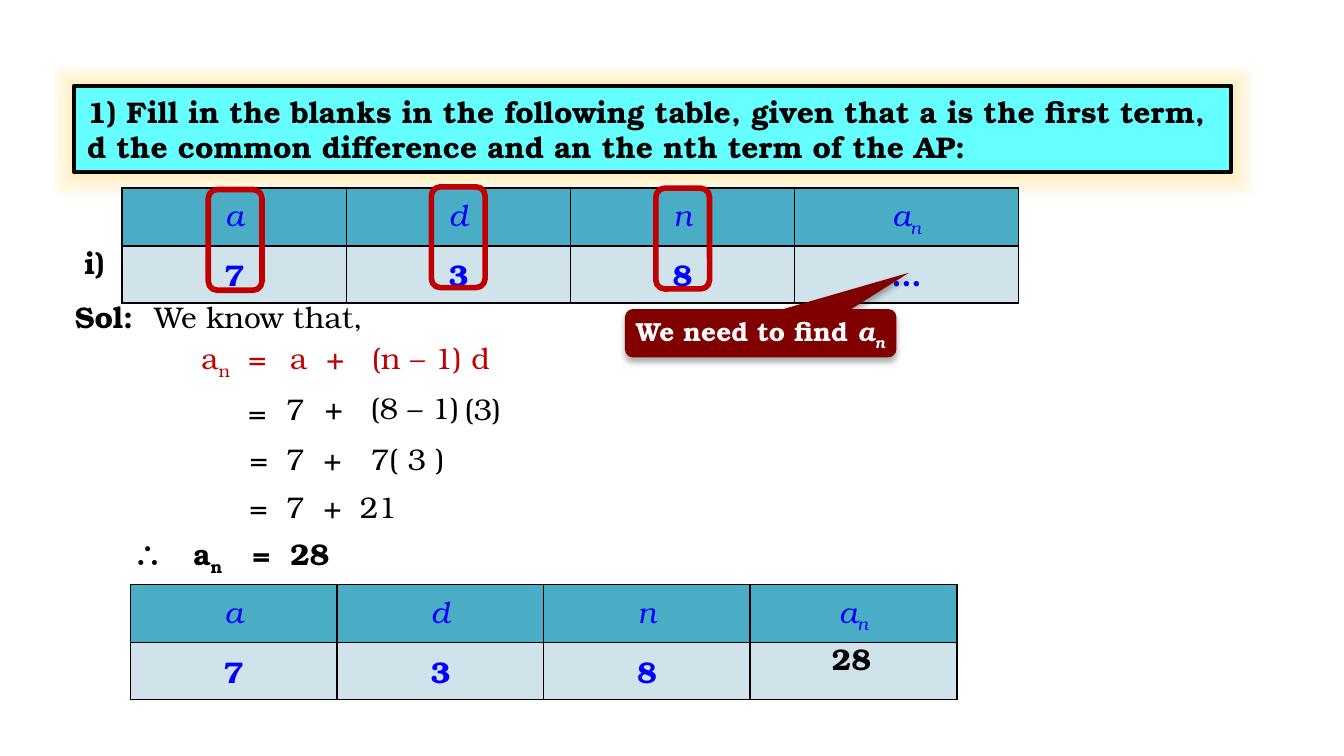
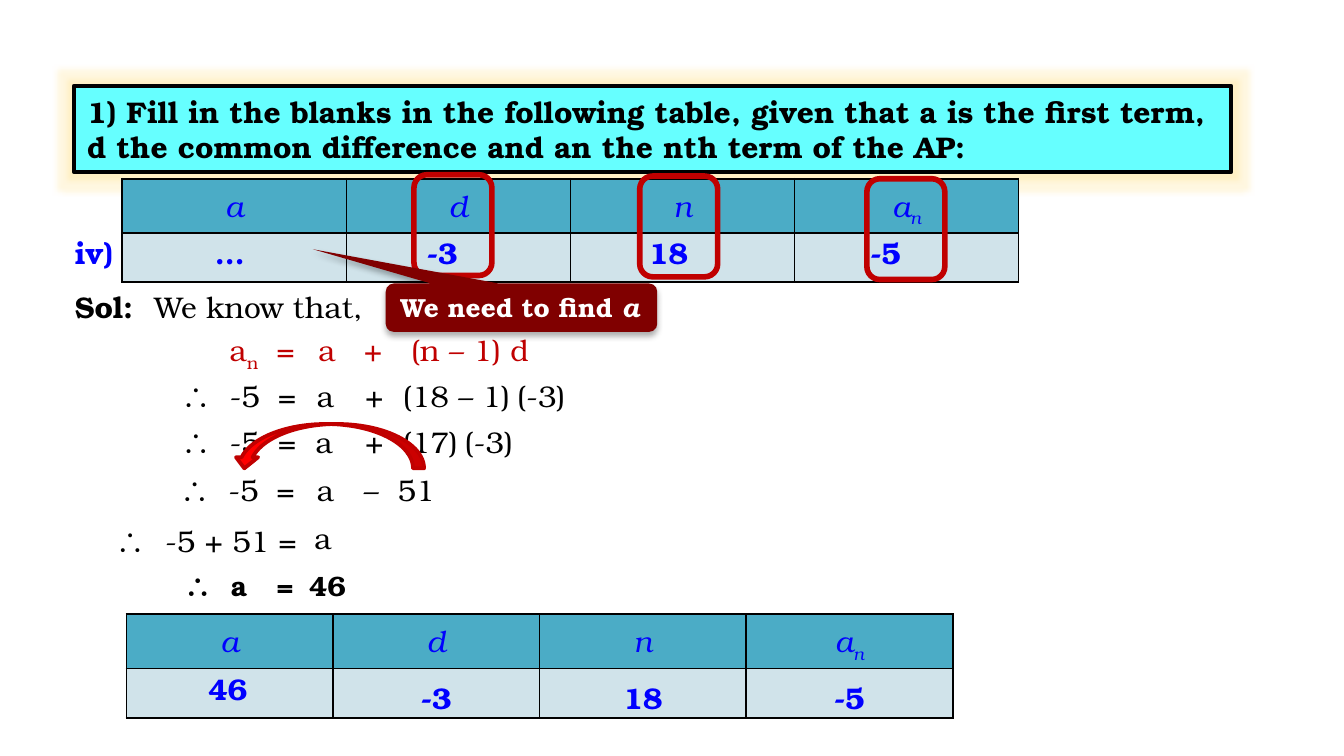
from lxml.etree import SubElement
from pptx import Presentation
from pptx.dml.color import RGBColor
from pptx.enum.shapes import MSO_SHAPE
from pptx.enum.text import MSO_ANCHOR, PP_ALIGN
from pptx.oxml import parse_xml
from pptx.oxml.ns import nsdecls, qn
from pptx.util import Pt

PX = 9144  # 100 px to the inch
FONT = "TeX Gyre Bonum"
BLACK, WHITE, BLUE, RED = "000000", "FFFFFF", "0000FF", "C00000"
MAROON, CYAN, BRIGHT_RED = "800000", "66FFFF", "FF0000"
HEADER_FILL, BODY_FILL = "4BACC6", "D0E3EA"
QUESTION = [
    "1) Fill in the blanks in the following table, given that a is the first term,",
    "d the common difference and an the nth term of the AP:",
]
HEADINGS = ["a", "d", "n", "a_n"]
ROW_HEIGHTS = [30, 26]
GLOW = '<a:effectLst %s><a:glow rad="76200"><a:srgbClr val="FFC000"><a:alpha val="12000"/></a:srgbClr></a:glow></a:effectLst>'
SHADOW = '<a:effectLst %s><a:outerShdw blurRad="44450" dist="27940" dir="5400000" algn="ctr" rotWithShape="0"><a:srgbClr val="000000"><a:alpha val="32000"/></a:srgbClr></a:outerShdw></a:effectLst>'


def write(paragraph, text, color=BLACK, size=16, **format_values):
    """Append text to the paragraph; the letter after an underscore is a subscript."""
    base, _, tail = text.partition("_")
    for piece, subscript in ((base, False), (tail[:1], True), (tail[1:], False)):
        if not piece:
            continue
        run = paragraph.add_run()
        run.text = piece
        run.font.color.rgb = RGBColor.from_string(color)
        for name, value in {"name": FONT, "size": Pt(size), **format_values}.items():
            setattr(run.font, name, value)
        if subscript:
            run.font._element.set("baseline", "-25000")


def add_text(slide, left, top, width, text, tabs=(), height=37, wrap=True, **format_values):
    """Add a one-line text box; tab stops are px from the start of its text."""
    box = slide.shapes.add_textbox(left * PX, top * PX, width * PX, height * PX)
    box.text_frame.word_wrap = wrap
    paragraph = box.text_frame.paragraphs[0]
    if tabs:
        tab_list = SubElement(paragraph._p.get_or_add_pPr(), qn("a:tabLst"))
        for stop in tabs:
            SubElement(tab_list, qn("a:tab"), pos=str(stop * PX), algn="l")
    write(paragraph, text, **format_values)
    return box


BOLD = {"bold": True}
BLUE_BOLD = {"color": BLUE, "bold": True}
FORMULA = {"color": RED}
RESULT = {"size": 15, "bold": True, "height": 35}

# Tables: left, top, width, values.
# Lines: left, top, width, text, tab stops, format.
# Callout: left, top, adjustments, unknown, label left, label top, label width.
slides = [
    {
        "tables": [
            (91, 140, 667, ["7", "3", "8", "…"]),
            (97, 435, 615, ["7", "3", "8", ""]),
        ],
        "solution top": 217,
        "lines": [
            (53, 177, 42, "i)", (), BOLD),
            (140, 248, 104, "a_n\t=", (35,), FORMULA),
            (206, 248, 183, "a\t+\t(n – 1) d", (27, 61), FORMULA),
            (175, 288, 41, "=", (), {}),
            (203, 286, 40, "7", (), {}),
            (232, 285, 130, "+\t(8 – 1)", (34,), {}),
            (336, 286, 53, "(3)", (), {}),
            (176, 323, 41, "=", (), {}),
            (203, 323, 176, "7\t+\t7( 3 )", (28, 63), {}),
            (176, 359, 43, "=", (), {}),
            (203, 359, 116, "7\t+\t21", (28, 55), {}),
            (609, 472, 55, "28", (), BOLD),
        ],
        "highlights": [(155, 141, 40), (321, 139, 40), (488, 140, 40)],
        "callout": (465, 230, (0.546, -1.251, 0.167), "a_n", 460, 230, 212),
    },
    {
        "tables": [
            (91, 133, 667, [""] * 4),
            (94, 457, 615, ["", "-3", "18", "-5"]),
        ],
        "solution top": 210,
        "lines": [
            (46, 170, 710, "iv)\t…\t-3\t18\t-5", (104, 262, 427, 592), BLUE_BOLD),
            (161, 242, 104, "a_n\t=", (35,), FORMULA),
            (227, 242, 199, "a\t+\t(n – 1) d", (34, 69), FORMULA),
            (125, 276, 112, "∴\t-5\t=", (36, 72), {}),
            (226, 276, 49, "a", (), {}),
            (262, 276, 132, "+\t(18 – 1)", (28,), {}),
            (375, 276, 66, "(-3)", (), {}),
            (125, 310, 112, "∴\t-5\t=", (36, 72), {}),
            (225, 310, 49, "a", (), {}),
            (262, 310, 103, "+\t(17)", (28,), {}),
            (336, 310, 66, "(-3)", (), {}),
            (124, 346, 112, "∴\t-5\t=", (36, 72), {}),
            (226, 346, 49, "a", (), {}),
            (261, 346, 102, "–\t51", (25,), {}),
            (76, 384, 170, "∴\t-5 + 51 =", (37,), {}),
            (224, 382, 49, "a", (), {}),
            (127, 418, 116, "∴\ta\t=", (35, 69), RESULT),
            (220, 418, 49, "46", (), RESULT),
            (145, 494, 65, "46", (), BLUE_BOLD),
        ],
        "highlights": [(308, 130, 58), (476, 131, 58), (645, 133, 58)],
        "callout": (287, 211, (-0.768, -1.208, 0.167), "a", 287, 212, 200),
    },
]

presentation = Presentation()
presentation.slide_width = 1000 * PX
presentation.slide_height = presentation.slide_width * 9 // 16

for content in slides:
    slide = presentation.slides.add_slide(presentation.slide_layouts[6])

    title = slide.shapes.add_shape(MSO_SHAPE.RECTANGLE, 55 * PX, 64 * PX, 861 * PX, 64 * PX)
    title.fill.solid()
    title.fill.fore_color.rgb = RGBColor.from_string(CYAN)
    title.line.color.rgb = RGBColor.from_string(BLACK)
    title.line.width = Pt(2.25)
    title._element.spPr.append(parse_xml(GLOW % nsdecls("a")))
    title.text_frame.word_wrap = True
    title.text_frame.vertical_anchor = MSO_ANCHOR.MIDDLE
    title.text_frame.add_paragraph()
    for paragraph, line in zip(title.text_frame.paragraphs, QUESTION):
        paragraph.alignment = PP_ALIGN.LEFT
        write(paragraph, line, bold=True)

    for left, top, width, values in content["tables"]:
        table = slide.shapes.add_table(2, 4, left * PX, top * PX, width * PX, 73 * PX).table
        table.first_row = table.horz_banding = False
        for column in table.columns:
            column.width = width * PX // 4
        for row, height in zip(table.rows, ROW_HEIGHTS):
            row.height = height * PX
        for row_index, texts in enumerate((HEADINGS, values)):
            for column_index, text in enumerate(texts):
                cell = table.cell(row_index, column_index)
                for side in ("lnL", "lnR", "lnT", "lnB"):
                    border = SubElement(cell._tc.get_or_add_tcPr(), qn(f"a:{side}"), w="12700")
                    SubElement(SubElement(border, qn("a:solidFill")), qn("a:srgbClr"), val=BLACK)
                cell.fill.solid()
                cell.fill.fore_color.rgb = RGBColor.from_string((HEADER_FILL, BODY_FILL)[row_index])
                paragraph = cell.text_frame.paragraphs[0]
                paragraph.alignment = PP_ALIGN.CENTER
                if text:
                    write(paragraph, text, BLUE, italic=row_index == 0, bold=row_index == 1)
                else:
                    end = SubElement(paragraph._p, qn("a:endParaRPr"), sz="1600")
                    SubElement(end, qn("a:latin"), typeface=FONT)

    solution_top = content["solution top"]
    add_text(slide, 46, solution_top, 64, "Sol:", wrap=False, bold=True)
    add_text(slide, 105, solution_top, 197, "We know that,")
    for left, top, width, text, tabs, format_values in content["lines"]:
        add_text(slide, left, top, width, text, tabs, **format_values)

    for left, top, width in content["highlights"]:
        highlight = slide.shapes.add_shape(
            MSO_SHAPE.FLOWCHART_ALTERNATE_PROCESS, left * PX, top * PX, width * PX, 75 * PX
        )
        highlight.shadow.inherit = False
        highlight.fill.background()
        highlight.line.color.rgb = RGBColor.from_string(RED)
        highlight.line.width = Pt(3)

    left, top, adjustments, unknown, label_left, label_top, label_width = content["callout"]
    callout = slide.shapes.add_shape(
        MSO_SHAPE.ROUNDED_RECTANGULAR_CALLOUT, left * PX, top * PX, 202 * PX, 36 * PX
    )
    for index, value in enumerate(adjustments):
        callout.adjustments[index] = value
    callout.fill.solid()
    callout.fill.fore_color.rgb = RGBColor.from_string(MAROON)
    callout.line.fill.background()
    callout._element.spPr.append(parse_xml(SHADOW % nsdecls("a")))
    label_format = {"color": WHITE, "size": 14, "bold": True}
    label = add_text(
        slide, label_left, label_top, label_width, "We need to find ", height=34, wrap=False, **label_format
    )
    paragraph = label.text_frame.paragraphs[0]
    paragraph.alignment = PP_ALIGN.CENTER
    write(paragraph, unknown, italic=True, **label_format)

first_slide, second_slide = presentation.slides

conclusion = add_text(first_slide, 89, 394, 173, "∴\ta_n\t=\t28", (45, 89, 117), bold=True)
conclusion.line.color.rgb = RGBColor.from_string(WHITE)
conclusion.line.width = Pt(3)

arrow = second_slide.shapes.add_shape(
    MSO_SHAPE.CURVED_RIGHT_ARROW, 228 * PX, 261 * PX, 33 * PX, 142 * PX
)
arrow.rotation = 90
arrow.shadow.inherit = False
arrow.fill.solid()
arrow.fill.fore_color.rgb = RGBColor.from_string(BRIGHT_RED)
arrow.line.color.rgb = RGBColor.from_string(RED)
arrow.line.width = Pt(2)

presentation.save("out.pptx")
